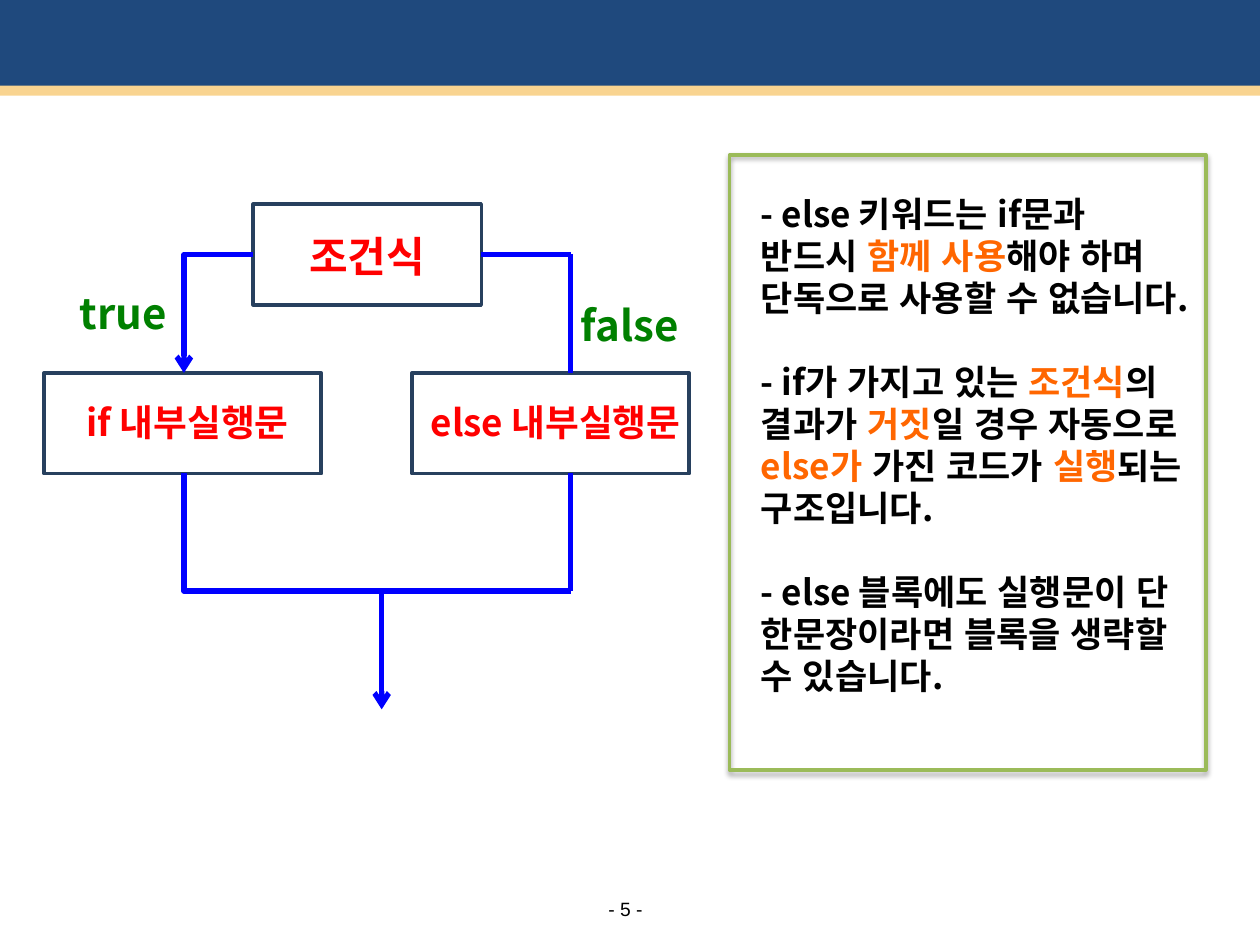
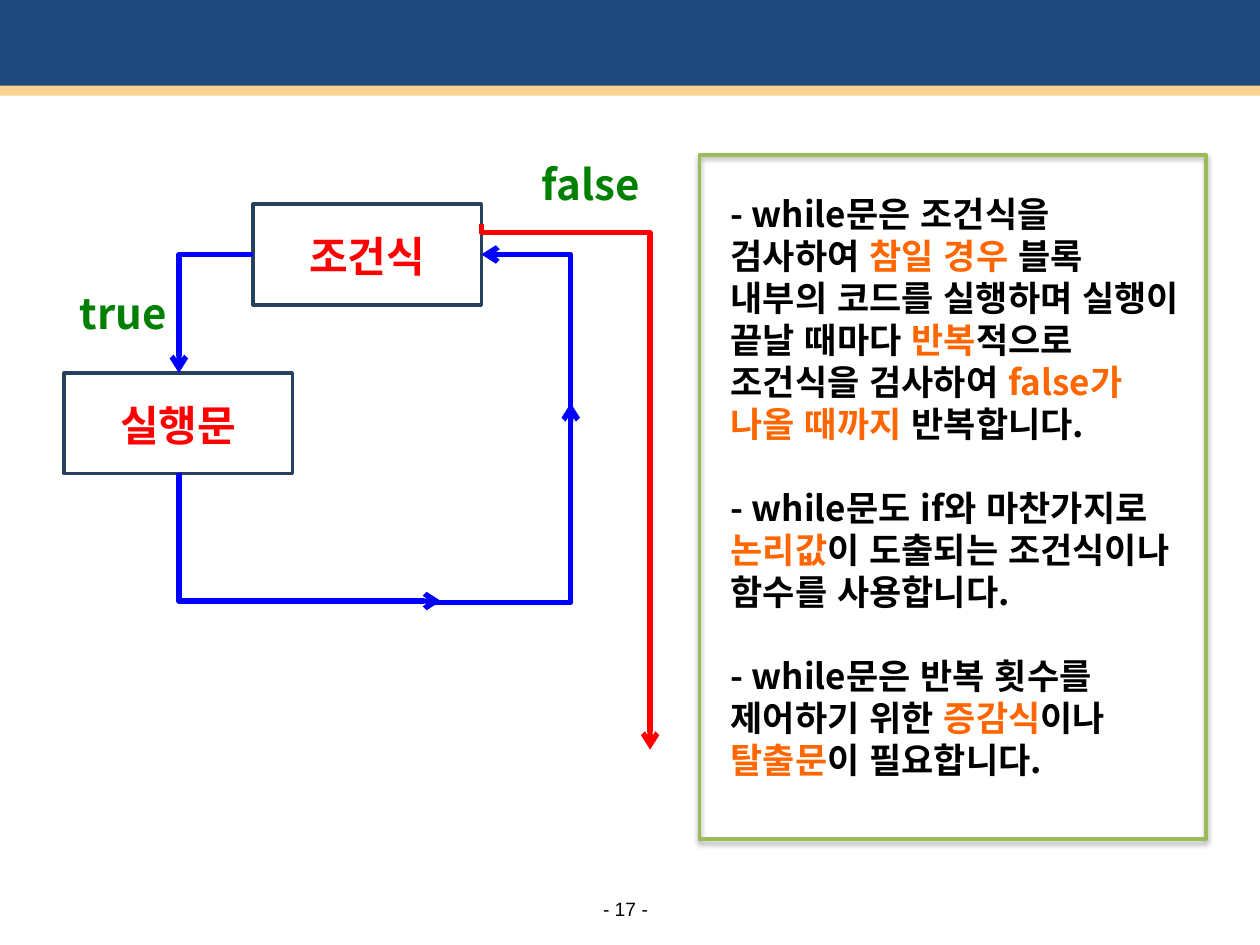
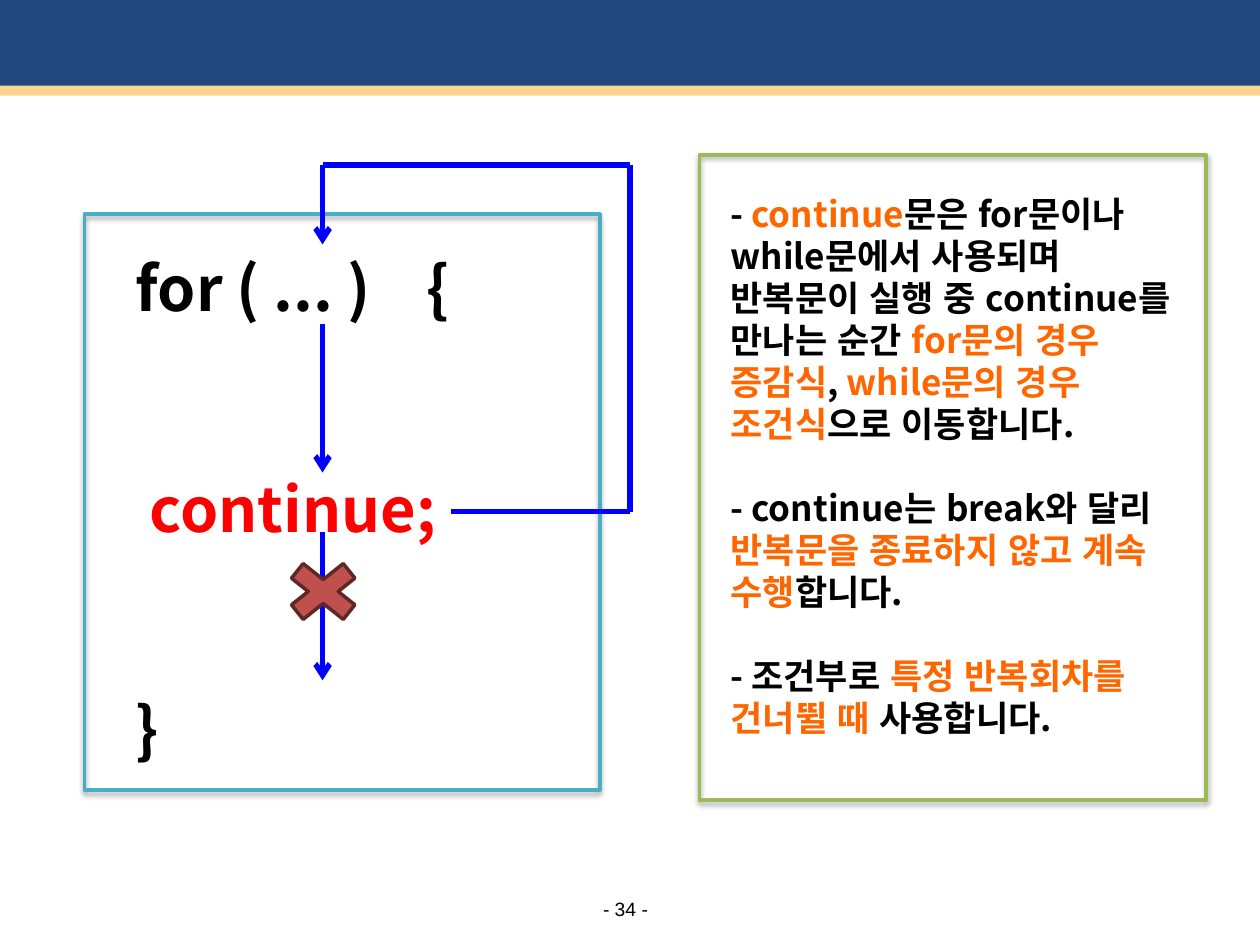
from dataclasses import dataclass

from lxml import etree
from pptx import Presentation
from pptx.dml.color import RGBColor
from pptx.enum.lang import MSO_LANGUAGE_ID
from pptx.enum.shapes import MSO_CONNECTOR, MSO_SHAPE
from pptx.enum.text import MSO_ANCHOR, PP_ALIGN
from pptx.oxml.ns import qn
from pptx.util import Inches, Pt

KOREAN = MSO_LANGUAGE_ID.KOREAN
STRAIGHT, ELBOW = MSO_CONNECTOR.STRAIGHT, MSO_CONNECTOR.ELBOW
RECTANGLE, PROCESS = MSO_SHAPE.RECTANGLE, MSO_SHAPE.FLOWCHART_PROCESS
MULTIPLY = MSO_SHAPE.MATH_MULTIPLY
LEFT, CENTER = PP_ALIGN.LEFT, PP_ALIGN.CENTER
MIDDLE = MSO_ANCHOR.MIDDLE
RIGHT_SIDE = 3


@dataclass(frozen=True)
class Theme:
    band: str = "1F497D"
    stripe: str = "F9D490"
    ink: str = "000000"
    highlight: str = "FF6600"
    red: str = "FF0000"
    branch: str = "008000"
    flow: str = "0000FF"
    node_line: str = "27405E"
    panel_line: str = "9BBB59"
    code_line: str = "4BACC6"
    cross: str = "C0504D"
    cross_line: str = "5F2826"
    font: str = "Noto Sans CJK KR"
    footer_font: str = "Arial"
    label_size: int = 24
    small_label_size: int = 21
    body_size: int = 20
    code_size: int = 35
    page_size: int = 11
    line_height: float = 1.2
    outline: int = 2
    flow_width: int = 3


THEME = Theme()


def rgb(value):
    return RGBColor.from_string(value)


# Text

def add_text(slide, left, top, width, height, paragraphs, size, color=THEME.ink,
             accent=THEME.highlight, align=LEFT, gap_lines=0):
    """Add bold paragraphs; parts between asterisks take the accent colour."""
    box = slide.shapes.add_textbox(Inches(left), Inches(top), Inches(width), Inches(height))
    frame = box.text_frame
    frame.word_wrap = True
    pitch = size * THEME.line_height
    for index, text in enumerate(paragraphs):
        paragraph = frame.paragraphs[0] if index == 0 else frame.add_paragraph()
        paragraph.alignment = align
        paragraph.line_spacing = Pt(pitch)
        if index:
            paragraph.space_before = Pt(pitch * gap_lines)
        font = paragraph.font
        font.size, font.bold, font.name = Pt(size), True, THEME.font
        font.language_id = KOREAN
        font.color.rgb = rgb(color)
        defaults = paragraph._p.pPr.find(qn("a:defRPr"))
        etree.SubElement(defaults, qn("a:ea"), typeface=THEME.font)
        for part, words in enumerate(text.split("*")):
            if words:
                run = paragraph.add_run()
                run.text = words
                if part % 2:
                    run.font.color.rgb = rgb(accent)


def add_branch_label(slide, left, top, text):
    add_text(slide, left, top, 1.26, 0.5, [text], THEME.label_size, THEME.branch, align=CENTER)


# Shapes

def add_block(slide, kind, left, top, width, height, fill=None, line=None):
    block = slide.shapes.add_shape(kind, Inches(left), Inches(top), Inches(width), Inches(height))
    block.shadow.inherit = False
    if fill:
        block.fill.solid()
        block.fill.fore_color.rgb = rgb(fill)
    else:
        block.fill.background()
    if line:
        block.line.color.rgb = rgb(line)
        block.line.width = Pt(THEME.outline)
    else:
        block.line.fill.background()
    return block


def add_shadowed_frame(slide, kind, left, top, width, height, line):
    frame = add_block(slide, kind, left, top, width, height, line=line)
    effects = frame._element.spPr.find(qn("a:effectLst"))
    shadow = etree.SubElement(effects, qn("a:outerShdw"), blurRad=str(Pt(3.1)),
                              dist=str(Pt(1.8)), dir="5400000", rotWithShape="0")
    color = etree.SubElement(shadow, qn("a:srgbClr"), val=THEME.ink)
    etree.SubElement(color, qn("a:alpha"), val="35000")


def add_panel(slide, left, height, paragraphs):
    right, top = 9.57, 1.23
    add_text(slide, left + 0.15, top + 0.25, right - left - 0.23, height - 0.45, paragraphs,
             THEME.body_size, gap_lines=1)
    add_shadowed_frame(slide, PROCESS, left, top, right - left, height, THEME.panel_line)


def add_node(slide, left, top, text, width=1.81, size=THEME.label_size, shift=0):
    node = add_block(slide, PROCESS, left, top, width, 0.8, line=THEME.node_line)
    add_text(slide, left - 0.12 + shift, top + 0.16, width + 0.24, 0.49, [text], size,
             THEME.red, align=CENTER)
    return node


# Flow lines

def style_flow(connector, color, arrow):
    connector.line.color.rgb = rgb(color)
    connector.line.width = Pt(THEME.flow_width)
    if arrow:
        etree.SubElement(connector.line._get_or_add_ln(), qn("a:tailEnd"), type="arrow")
    etree.SubElement(connector._element.spPr, qn("a:effectLst"))


def add_flow(slide, start, end, arrow=False):
    connector = slide.shapes.add_connector(STRAIGHT, *map(Inches, (*start, *end)))
    style_flow(connector, THEME.flow, arrow)
    return connector


def add_bent_flow(slide, start, end, vertical_first=True, bend=None, color=THEME.flow):
    """One corner by default; with bend (a share of the way), two corners."""
    (x1, y1), (x2, y2) = start, end
    if vertical_first:
        # Box before its turn by 270 degrees about the centre
        mid_x, mid_y = (x1 + x2) / 2, (y1 + y2) / 2
        half_x, half_y = (y1 - y2) / 2, (x2 - x1) / 2
        x1, y1 = mid_x - half_x, mid_y - half_y
        x2, y2 = mid_x + half_x, mid_y + half_y
    connector = slide.shapes.add_connector(ELBOW, *map(Inches, (x1, y1, x2, y2)))
    properties = connector._element.spPr
    if vertical_first:
        properties.find(qn("a:xfrm")).set("rot", str(270 * 60000))
    geometry = properties.find(qn("a:prstGeom"))
    if bend is None:
        geometry.set("prst", "bentConnector2")
    else:
        guides = geometry.find(qn("a:avLst"))
        if guides is None:
            guides = etree.SubElement(geometry, qn("a:avLst"))
        etree.SubElement(guides, qn("a:gd"), name="adj1", fmla=f"val {round(bend * 100000)}")
    style_flow(connector, color, True)


# Shared slide frame

def add_page(deck, number):
    slide = deck.slides.add_slide(deck.slide_layouts[6])
    add_block(slide, RECTANGLE, 0, 0, 10, 0.73, THEME.band)
    add_block(slide, RECTANGLE, 0, 0.68, 10, 0.08, THEME.stripe)
    footer = slide.shapes.add_textbox(Inches(4.75), Inches(7.12), Inches(0.43), Inches(0.19))
    frame = footer.text_frame
    frame.margin_left = frame.margin_right = frame.margin_top = frame.margin_bottom = 0
    frame.vertical_anchor = MIDDLE
    frame.word_wrap = False
    paragraph = frame.paragraphs[0]
    paragraph.text = f"- {number} -"
    paragraph.alignment = CENTER
    paragraph.font.size, paragraph.font.name = Pt(THEME.page_size), THEME.footer_font
    paragraph.font.color.rgb = rgb(THEME.ink)
    return slide


# Slides

def build_if_else(deck):
    slide = add_page(deck, 5)
    add_panel(slide, 5.79, 4.88, [
        "- else 키워드는 if문과 반드시 *함께 사용*해야 하며 단독으로 사용할 수 없습니다.",
        "- if가 가지고 있는 *조건식*의 결과가 *거짓*일 경우 자동으로 *else가* 가진 코드가 "
        "*실행*되는 구조입니다.",
        "- else 블록에도 실행문이 단 한문장이라면 블록을 생략할 수 있습니다.",
    ])
    condition = add_node(slide, 2.01, 1.62, "조건식")
    for left, keyword in ((0.35, "if"), (3.27, "else")):
        add_node(slide, left, 2.96, f"{keyword} 내부실행문", 2.2, THEME.small_label_size, 0.04)
    # True branch, then out of the statement
    add_bent_flow(slide, (2.01, 2.02), (1.46, 2.96), vertical_first=False)
    add_bent_flow(slide, (1.46, 3.75), (3.03, 5.63), bend=0.5)
    # False branch
    to_else = add_flow(slide, (3.82, 2.02), (4.53, 2.02))
    to_else.begin_connect(condition, RIGHT_SIDE)
    add_flow(slide, (4.53, 2.02), (4.53, 2.96))
    add_flow(slide, (4.53, 3.75), (4.53, 4.69))
    add_flow(slide, (4.53, 4.69), (2.72, 4.69))
    add_branch_label(slide, 0.35, 2.23, "true")
    add_branch_label(slide, 4.37, 2.33, "false")


def build_while(deck):
    slide = add_page(deck, 17)
    add_panel(slide, 5.55, 5.43, [
        "- while문은 조건식을 검사하여 *참일 경우* 블록 내부의 코드를 실행하며 실행이 끝날 때마다 "
        "*반복*적으로 조건식을 검사하여 *false가 나올 때까지* 반복합니다.",
        "- while문도 if와 마찬가지로 *논리값*이 도출되는 조건식이나 함수를 사용합니다.",
        "- while문은 반복 횟수를 제어하기 위한 *증감식*이나 *탈출문*이 필요합니다.",
    ])
    add_node(slide, 2.01, 1.62, "조건식")
    add_node(slide, 0.51, 2.96, "실행문")
    add_branch_label(slide, 0.35, 2.23, "true")
    add_branch_label(slide, 4.06, 1.21, "false")
    # Loop through the statement and back to the condition
    add_bent_flow(slide, (2.01, 2.02), (1.42, 2.96), vertical_first=False)
    add_bent_flow(slide, (1.42, 3.75), (3.5, 4.77))
    add_bent_flow(slide, (3.43, 4.77), (4.53, 3.2), bend=-0.007)
    add_bent_flow(slide, (4.53, 3.36), (3.82, 2.02))
    # Way out of the loop
    add_bent_flow(slide, (3.82, 1.78), (5.16, 5.95), bend=0.016, color=THEME.red)


def build_continue(deck):
    slide = add_page(deck, 34)
    add_panel(slide, 5.55, 5.12, [
        "- *continue*문은 for문이나 while문에서 사용되며 반복문이 실행 중 continue를 만나는 순간 "
        "*for문의 경우 증감식*, *while문의 경우 조건식*으로 이동합니다.",
        "- continue는 break와 달리 *반복문을 종료하지 않고 계속 수행*합니다.",
        "- 조건부로 *특정 반복회차를 건너뛸 때* 사용합니다.",
    ])
    # Code of the loop
    add_text(slide, 0.98, 1.94, 4.25, 4.18, ["for ( ... )    {", " *continue;*", "}"],
             THEME.code_size, accent=THEME.red, gap_lines=2)
    for top in (2.57, 4.22):
        add_flow(slide, (2.56, top), (2.56, top + 1.18), arrow=True)
    add_shadowed_frame(slide, RECTANGLE, 0.67, 1.7, 4.09, 4.57, THEME.code_line)
    add_block(slide, MULTIPLY, 2.17, 4.38, 0.79, 0.63, THEME.cross, THEME.cross_line)
    # Jump back to the loop head
    stops = [(3.58, 4.06), (5, 4.06), (5, 1.31), (2.56, 1.31), (2.56, 1.94)]
    for start, end in zip(stops, stops[1:]):
        add_flow(slide, start, end, arrow=end == stops[-1])


def main():
    deck = Presentation()
    deck.slide_width, deck.slide_height = Inches(10), Inches(7.5)
    build_if_else(deck)
    build_while(deck)
    build_continue(deck)
    deck.save("out.pptx")


if __name__ == "__main__":
    main()
